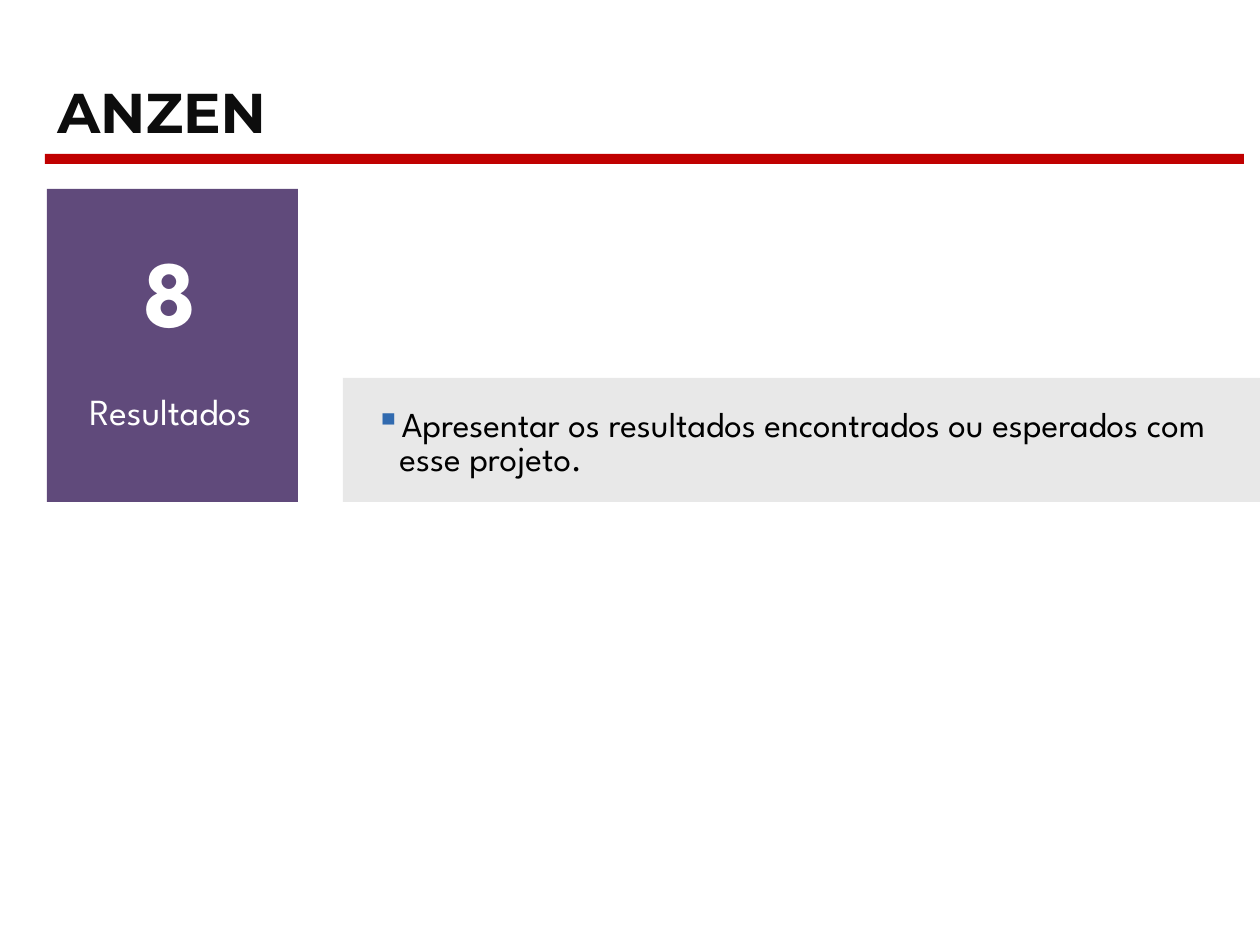
from lxml import etree
from pptx import Presentation
from pptx.dml.color import RGBColor
from pptx.enum.shapes import MSO_SHAPE
from pptx.enum.text import MSO_ANCHOR, PP_ALIGN
from pptx.oxml.ns import qn
from pptx.util import Pt

RECT = MSO_SHAPE.RECTANGLE
TOP, MIDDLE = MSO_ANCHOR.TOP, MSO_ANCHOR.MIDDLE
LEFT, CENTER = PP_ALIGN.LEFT, PP_ALIGN.CENTER

WHITE = RGBColor(0xFF, 0xFF, 0xFF)
BLACK = RGBColor(0x00, 0x00, 0x00)
INK = RGBColor(0x0D, 0x0D, 0x0D)
PURPLE = RGBColor(0x60, 0x4A, 0x7B)
GRAY = RGBColor(0xE8, 0xE8, 0xE8)
RED = RGBColor(0xC0, 0x00, 0x00)
BULLET_BLUE = RGBColor(0x31, 0x6A, 0xAF)

PX = 914400 / 126
W, H = 1260, 945


def emu(*lengths):
    return [round(n * PX) for n in lengths]


def add_text(box, text, size, color, font="League Spartan", bold=False,
             align=CENTER, anchor=MIDDLE, spacing=None):
    """Add a one-paragraph text box and return its paragraph."""
    tf = slide.shapes.add_textbox(*emu(*box)).text_frame
    tf.word_wrap = True
    tf.vertical_anchor = anchor
    p = tf.paragraphs[0]
    p.alignment = align
    p.line_spacing = spacing
    r = p.add_run()
    r.text = text
    r.font.name = font
    r.font.size = Pt(size)
    r.font.bold = bold
    r.font.color.rgb = color
    return p


prs = Presentation()
prs.slide_width, prs.slide_height = emu(W, H)
slide = prs.slides.add_slide(prs.slide_layouts[6])

# Background, number card, text band and title rule
for box, color in [
    ((0, 0, W, H), WHITE),
    ((47, 189, 251, 313), PURPLE),
    ((343, 378, 922, 124), GRAY),
    ((45, 154, 1199, 10), RED),
]:
    sp = slide.shapes.add_shape(RECT, *emu(*box))
    sp.shadow.inherit = False
    sp.fill.solid()
    sp.fill.fore_color.rgb = color
    if color == WHITE:
        sp.line.color.rgb = WHITE
        sp.line.width = Pt(2)
    else:
        sp.line.fill.background()

add_text((45, 71, 519, 63), "ANZEN", 32, INK, font="Montserrat", bold=True,
         align=LEFT, anchor=TOP)
add_text((76, 244, 188, 110), "8", 54, WHITE, bold=True, spacing=0.85)
add_text((25, 388, 291, 53), "Resultados", 21, WHITE, spacing=0.85)

p = add_text((363, 404, 863, 81),
             "Apresentar os resultados encontrados ou esperados com esse projeto.",
             20, BLACK, align=LEFT, spacing=0.8)
p.space_after = Pt(8)
indent, = emu(24)
pPr = p._p.get_or_add_pPr()
pPr.set("marL", str(indent))
pPr.set("indent", str(-indent))
bullet_color = etree.SubElement(pPr, qn("a:buClr"))
etree.SubElement(bullet_color, qn("a:srgbClr"), val=str(BULLET_BLUE))
etree.SubElement(pPr, qn("a:buChar"), char="▪")

prs.save("out.pptx")
